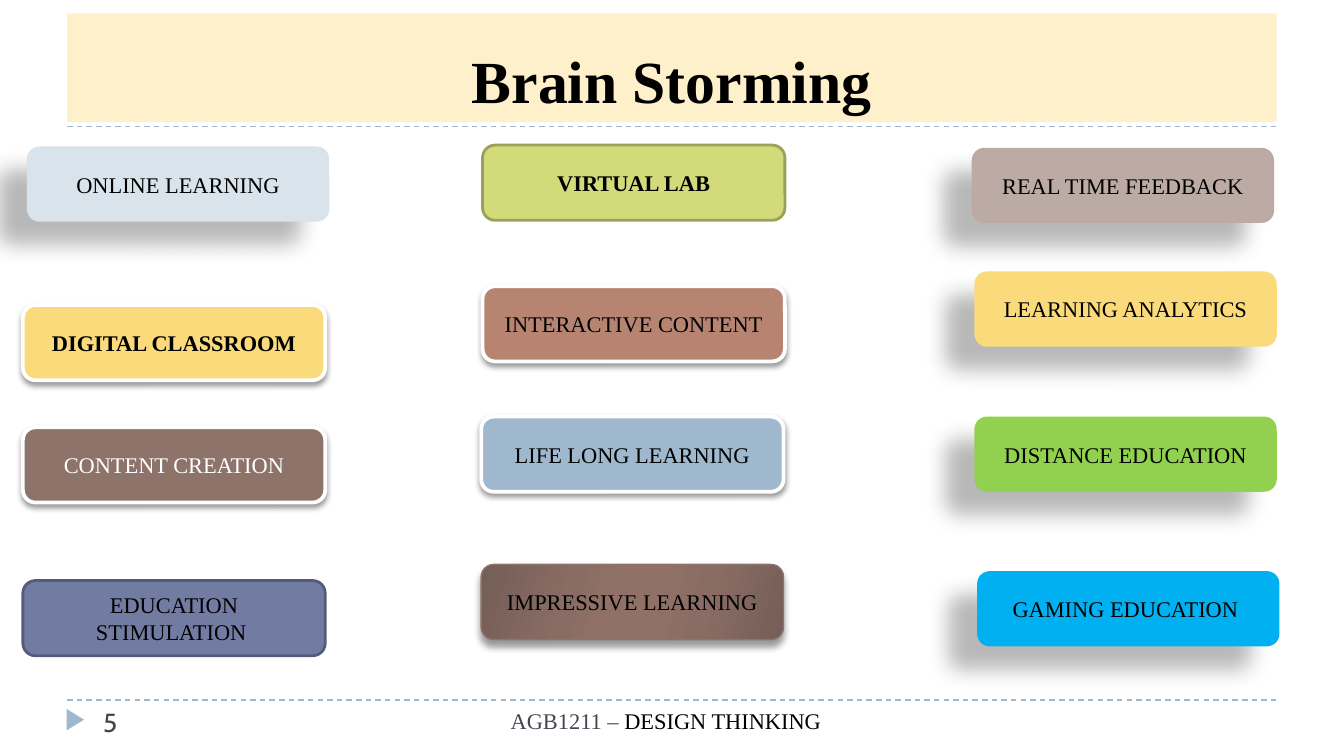
from pptx import Presentation
from pptx.dml.color import RGBColor
from pptx.enum.dml import MSO_LINE
from pptx.enum.shapes import MSO_CONNECTOR, MSO_SHAPE
from pptx.enum.text import MSO_ANCHOR, MSO_AUTO_SIZE, PP_ALIGN
from pptx.oxml.ns import qn
from pptx.util import Inches, Pt
from lxml import etree

DASH = MSO_LINE.DASH
STRAIGHT = MSO_CONNECTOR.STRAIGHT
ROUNDED, TRIANGLE = MSO_SHAPE.ROUNDED_RECTANGLE, MSO_SHAPE.ISOSCELES_TRIANGLE
MIDDLE, BOTTOM = MSO_ANCHOR.MIDDLE, MSO_ANCHOR.BOTTOM
CENTER = PP_ALIGN.CENTER
NO_AUTOFIT = MSO_AUTO_SIZE.NONE

BLACK = RGBColor(0x00, 0x00, 0x00)
WHITE = RGBColor(0xFF, 0xFF, 0xFF)
SLATE = RGBColor(0x46, 0x46, 0x53)
CREAM = RGBColor(0xFD, 0xF0, 0xCA)
PALE_BLUE = RGBColor(0xD9, 0xE3, 0xEB)
STEEL_BLUE = RGBColor(0x9F, 0xB8, 0xCD)
SKY_BLUE = RGBColor(0x00, 0xB0, 0xF0)
INDIGO = RGBColor(0x72, 0x7C, 0xA3)
DARK_INDIGO = RGBColor(0x54, 0x5C, 0x79)
YELLOW = RGBColor(0xFA, 0xDA, 0x7A)
LIME = RGBColor(0xD2, 0xDA, 0x7A)
OLIVE = RGBColor(0x9B, 0xA1, 0x5A)
GREEN = RGBColor(0x92, 0xD0, 0x50)
BROWN = RGBColor(0x8E, 0x73, 0x6A)
TAUPE = RGBColor(0xBC, 0xAB, 0xA5)
CLAY = RGBColor(0xB8, 0x84, 0x72)
EDGE_BROWN = RGBColor(0x74, 0x5E, 0x57)
MID_BROWN = RGBColor(0x89, 0x6D, 0x64)
CORE_BROWN = RGBColor(0x91, 0x71, 0x67)
BROWN_STOPS = [(0, EDGE_BROWN), (30, MID_BROWN), (45, CORE_BROWN),
               (55, CORE_BROWN), (73, MID_BROWN), (100, EDGE_BROWN)]

SERIF, SANS = "Times New Roman", "Cabin"

# Shadows: opacity %, blur pt, distance pt, direction in degrees
FAR = (28, 11.8, 19.7, 141)
NEAR = (40, 3, 2, 90)
SOFT = (40, 4, 3.4, 90)

WHITE_EDGE = (WHITE, 2)
IDEA_WIDTH, IDEA_HEIGHT = 2.25, 0.56

# Ideas: left, top, text, fill, line, shadow, text colour, bold
IDEAS = [
    (0.20, 1.09, "ONLINE LEARNING", PALE_BLUE, None, FAR, BLACK, False),
    (0.17, 2.27, "DIGITAL CLASSROOM", YELLOW, WHITE_EDGE, NEAR, BLACK, True),
    (0.17, 3.18, "CONTENT CREATION", BROWN, WHITE_EDGE, NEAR, WHITE, False),
    (0.17, 4.32, "EDUCATION STIMULATION ", INDIGO, (DARK_INDIGO, 1.5), None, BLACK, False),
    (3.59, 1.08, "VIRTUAL LAB", LIME, (OLIVE, 1.5), None, BLACK, True),
    (3.59, 2.13, "INTERACTIVE CONTENT", CLAY, WHITE_EDGE, NEAR, BLACK, False),
    (3.58, 3.10, "LIFE LONG LEARNING", STEEL_BLUE, WHITE_EDGE, NEAR, BLACK, False),
    (3.58, 4.20, "IMPRESSIVE LEARNING", BROWN_STOPS, (BROWN, 0.75), SOFT, BLACK, False),
    (7.23, 1.10, "REAL TIME FEEDBACK", TAUPE, None, FAR, BLACK, False),
    (7.25, 2.02, "LEARNING ANALYTICS", YELLOW, None, FAR, BLACK, False),
    (7.25, 3.10, "DISTANCE EDUCATION", GREEN, None, FAR, BLACK, False),
    (7.27, 4.25, "GAMING EDUCATION ", SKY_BLUE, None, FAR, BLACK, False),
]


def add_run(paragraph, text, size, color, font=SERIF, bold=False):
    run = paragraph.add_run()
    run.text = text
    run.font.size, run.font.name, run.font.bold = Pt(size), font, bold
    run.font.color.rgb = color


def add_rule(slide, left, top, width):
    rule = slide.shapes.add_connector(
        STRAIGHT, Inches(left), Inches(top), Inches(left + width), Inches(top))
    rule.line.color.rgb = STEEL_BLUE
    rule.line.width = Pt(0.75)
    rule.line.dash_style = DASH
    etree.SubElement(rule._element.spPr, qn("a:effectLst"))


def add_shadow(shape, opacity, blur, distance, direction):
    effects = shape._element.spPr.find(qn("a:effectLst"))
    shadow = etree.SubElement(
        effects, qn("a:outerShdw"), blurRad=str(Pt(blur)), dist=str(Pt(distance)),
        dir=str(direction * 60000), algn="ctr", rotWithShape="0")
    color = etree.SubElement(shadow, qn("a:srgbClr"), val=str(BLACK))
    etree.SubElement(color, qn("a:alpha"), val=str(opacity * 1000))


def fill_gradient(shape, stops, angle):
    shape.fill.gradient()
    shape.fill.gradient_angle = 360 - angle
    stop_list = shape._element.spPr.find(qn("a:gradFill")).find(qn("a:gsLst"))
    for stop in list(stop_list):
        stop_list.remove(stop)
    for position, color in stops:
        stop = etree.SubElement(stop_list, qn("a:gs"), pos=str(position * 1000))
        etree.SubElement(stop, qn("a:srgbClr"), val=str(color))


def add_title(slide, left, top, width, height):
    title = slide.shapes.title
    title.left, title.top = Inches(left), Inches(top)
    title.width, title.height = Inches(width), Inches(height)
    title.fill.solid()
    title.fill.fore_color.rgb = CREAM
    frame = title.text_frame
    frame.auto_size, frame.word_wrap = NO_AUTOFIT, True
    frame.vertical_anchor = BOTTOM
    frame.paragraphs[0].alignment = CENTER
    add_run(frame.paragraphs[0], "Brain Storming", 32, BLACK, bold=True)
    add_rule(slide, left, top + height + 0.03, width)


def add_idea(slide, left, top, text, fill, line, shadow, color, bold):
    shape = slide.shapes.add_shape(
        ROUNDED, Inches(left), Inches(top), Inches(IDEA_WIDTH), Inches(IDEA_HEIGHT))
    shape.shadow.inherit = False
    if isinstance(fill, list):
        fill_gradient(shape, fill, 16)
    else:
        shape.fill.solid()
        shape.fill.fore_color.rgb = fill
    if line:
        shape.line.color.rgb, shape.line.width = line[0], Pt(line[1])
    else:
        shape.line.fill.background()
    if shadow:
        add_shadow(shape, *shadow)
    frame = shape.text_frame
    frame.word_wrap, frame.vertical_anchor = True, MIDDLE
    paragraph = frame.paragraphs[0]
    paragraph.alignment, paragraph.space_before = CENTER, Pt(6)
    add_run(paragraph, text, 12, color, bold=bold)


def add_footer_text(slide, left, top, width, height):
    box = slide.shapes.add_textbox(Inches(left), Inches(top), Inches(width), Inches(height))
    box.text_frame.word_wrap = True
    return box.text_frame.paragraphs[0]


def add_footer(slide, left, top, width):
    add_rule(slide, left, top, width)
    # Page marker and number
    marker = slide.shapes.add_shape(
        TRIANGLE, Inches(left - 0.02), Inches(top + 0.08), Inches(0.16), Inches(0.13))
    marker.rotation = 90
    marker.shadow.inherit = False
    marker.fill.solid()
    marker.fill.fore_color.rgb = STEEL_BLUE
    marker.line.fill.background()
    number = add_footer_text(slide, left + 0.17, top, 2.17, 0.3)
    add_run(number, "5", 14, SLATE, SANS)
    # Course name
    course = add_footer_text(slide, left + 2.25, top, 4.41, 0.41)
    course.alignment = CENTER
    add_run(course, "AGB1211 – ", 12, SLATE)
    add_run(course, "DESIGN THINKING", 12, BLACK)


def main():
    presentation = Presentation()
    # Widescreen, 16:9
    presentation.slide_width = Inches(10)
    presentation.slide_height = Inches(10) * 9 // 16
    slide = presentation.slides.add_slide(presentation.slide_layouts[5])
    add_title(slide, 0.5, 0.1, 9, 0.81)
    add_footer(slide, 0.5, 5.21, 9)
    for idea in IDEAS:
        add_idea(slide, *idea)
    presentation.save("out.pptx")


if __name__ == "__main__":
    main()
